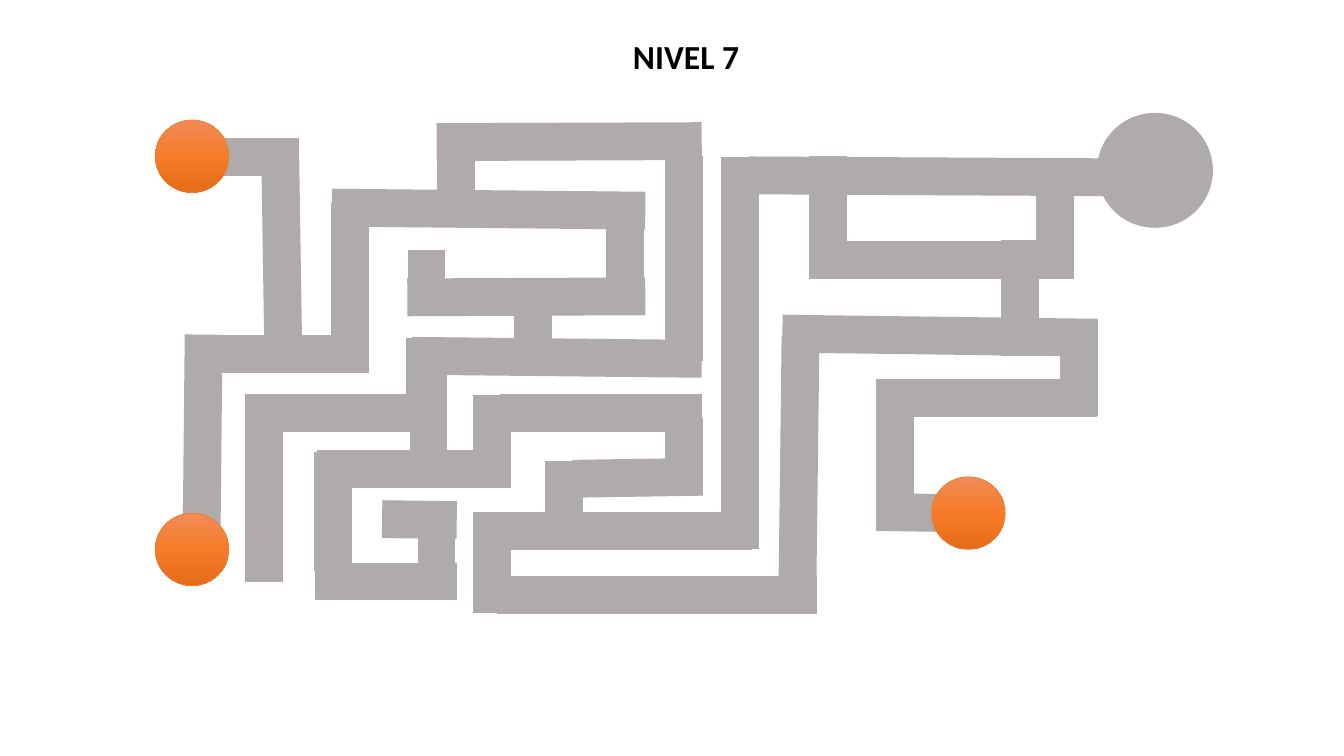
from copy import deepcopy

from pptx import Presentation
from pptx.dml.color import RGBColor
from pptx.enum.shapes import MSO_CONNECTOR, MSO_SHAPE
from pptx.enum.text import MSO_AUTO_SIZE
from pptx.oxml.ns import qn
from pptx.oxml.xmlchemy import OxmlElement
from pptx.util import Inches, Pt

RECT, OVAL = MSO_SHAPE.RECTANGLE, MSO_SHAPE.OVAL
STRAIGHT = MSO_CONNECTOR.STRAIGHT
FIT_SHAPE = MSO_AUTO_SIZE.SHAPE_TO_FIT_TEXT

# Content: the slide is a fine grid of 1333 columns by 750 rows
COLS, ROWS = 1333, 750
UNIT = Inches(0.01)
TITLE = "NIVEL 7"
TITLE_BOX = (618, 31, 126, 50)

# Maze corridors, each as (column, row) to (column, row)
RIGHT_SIDE = [
    (939, 509, 874, 508), (888, 376, 888, 527), (874, 395, 1088, 395),
    (1070, 316, 1070, 413), (1012, 353, 1012, 238), (807, 258, 1031, 258),
    (776, 331, 1088, 335), (794, 334, 791, 577), (743, 174, 1126, 176),
    (821, 155, 821, 277), (1046, 162, 1046, 277), (734, 156, 734, 545),
]
LOWER_MIDDLE = [
    (493, 590, 810, 590), (488, 608, 488, 508), (559, 457, 559, 515),
    (746, 527, 469, 527), (678, 483, 678, 415), (568, 475, 697, 473),
    (496, 410, 696, 410), (488, 392, 488, 484), (314, 465, 488, 465),
    (330, 448, 330, 566), (312, 577, 453, 577), (433, 506, 433, 560),
    (379, 515, 453, 516), (425, 372, 425, 473), (243, 410, 443, 410),
    (262, 392, 262, 577),
]
UPPER_LEFT = [
    (421, 335, 421, 395), (408, 353, 696, 356), (678, 155, 678, 358),
    (433, 141, 696, 140), (329, 206, 640, 209), (404, 295, 640, 294),
    (620, 225, 620, 294), (452, 145, 452, 214), (347, 201, 347, 370),
    (185, 351, 364, 351), (202, 332, 200, 526), (278, 158, 281, 353),
    (297, 156, 211, 156), (529, 286, 529, 346), (423, 248, 423, 285),
]

# Round ends of the maze: top-left corners of the balls, and the goal
BALL_SIZE = (73, 72)
BALLS = [(924, 473), (154, 119), (154, 509)]
GOAL = (1088, 112, 115, 114)


class Theme:
    backdrop = RGBColor.from_string("D0CECE")
    panel = RGBColor.from_string("FFFFFF")
    corridor = RGBColor.from_string("AFABAB")
    ball_edge = RGBColor.from_string("ED7D31")
    ball_stops = [(0, "F18C57"), (0.5, "F67B28"), (1, "E56C19")]
    text = RGBColor.from_string("000000")
    font = "Calibri"
    title_size = Pt(24)
    corridor_width = Pt(27)
    edge_width = Pt(0.5)


def grid(values):
    return [v * UNIT for v in values]


def add_plain(slide, kind, box, color):
    sp = slide.shapes.add_shape(kind, *grid(box))
    sp.shadow.inherit = False
    sp.fill.solid()
    sp.fill.fore_color.rgb = color
    sp.line.fill.background()
    return sp


def add_corridor(slide, ends):
    line = slide.shapes.add_connector(STRAIGHT, *grid(ends))
    line.line.color.rgb = Theme.corridor
    line.line.width = Theme.corridor_width
    line._element.spPr.append(OxmlElement("a:effectLst"))


def add_ball(slide, corner):
    sp = add_plain(slide, OVAL, corner + BALL_SIZE, Theme.ball_edge)
    sp.line.color.rgb = Theme.ball_edge
    sp.line.width = Theme.edge_width
    sp.fill.gradient()
    sp.fill.gradient_angle = 270
    # The default gradient has two stops; a third one is added
    stops = sp._element.spPr.find(qn("a:gradFill")).find(qn("a:gsLst"))
    stops.append(deepcopy(stops[-1]))
    for stop, (position, color) in zip(sp.fill.gradient_stops, Theme.ball_stops):
        stop.position = position
        stop.color.rgb = RGBColor.from_string(color)


def add_title(slide):
    tf = slide.shapes.add_textbox(*grid(TITLE_BOX)).text_frame
    tf.word_wrap = False
    tf.auto_size = FIT_SHAPE
    p = tf.paragraphs[0]
    p.text = TITLE
    p.font.name = Theme.font
    p.font.size = Theme.title_size
    p.font.bold = True
    p.font.color.rgb = Theme.text


def main():
    prs = Presentation()
    prs.slide_width, prs.slide_height = grid((COLS, ROWS))
    slide = prs.slides.add_slide(prs.slide_layouts[6])

    # Backdrop and title
    slide.background.fill.solid()
    slide.background.fill.fore_color.rgb = Theme.backdrop
    add_plain(slide, RECT, (0, 0, COLS, ROWS), Theme.panel)
    add_title(slide)

    # Maze
    for ends in RIGHT_SIDE + LOWER_MIDDLE + UPPER_LEFT:
        add_corridor(slide, ends)
    for corner in BALLS:
        add_ball(slide, corner)
    add_plain(slide, OVAL, GOAL, Theme.corridor)

    prs.save("out.pptx")


if __name__ == "__main__":
    main()
